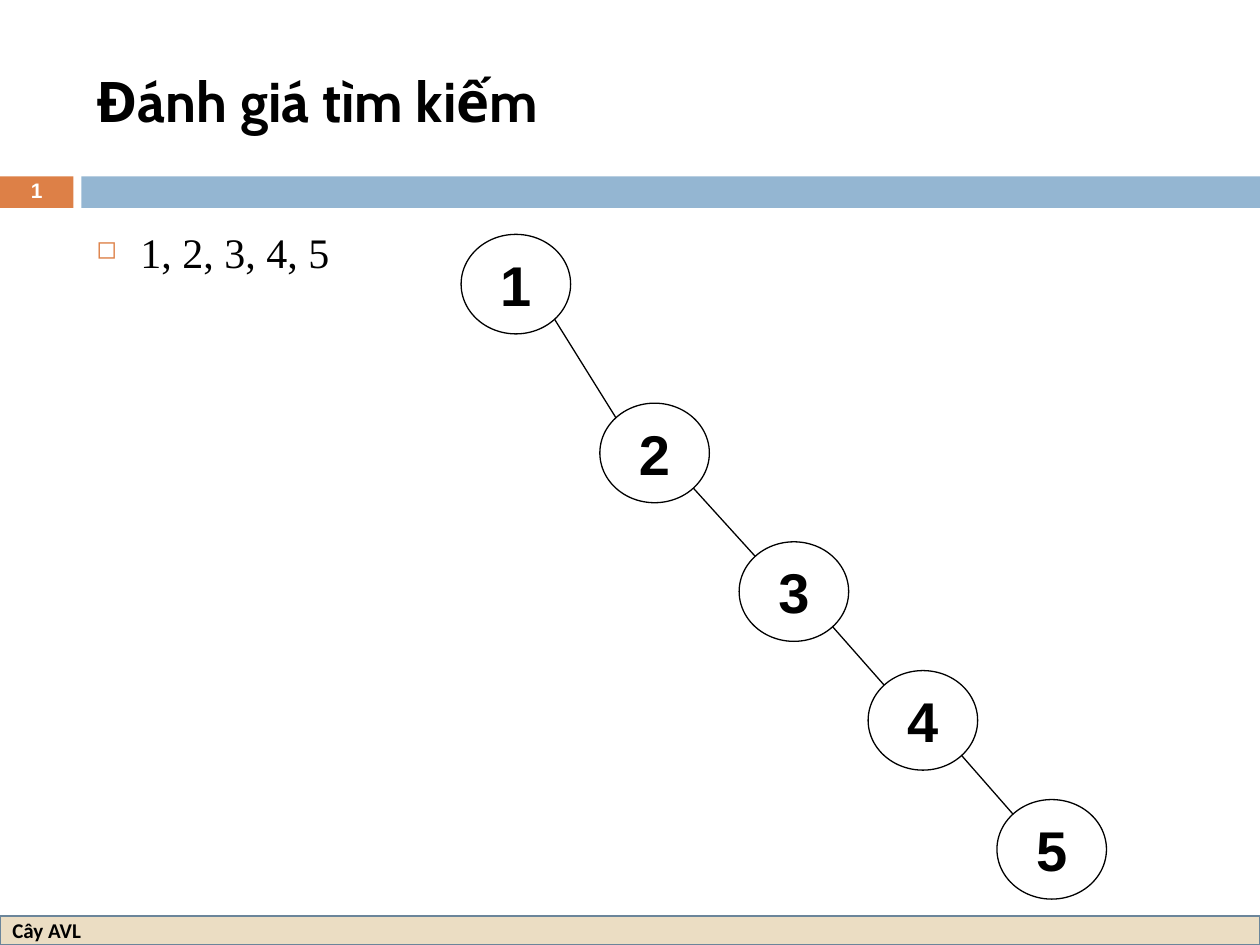
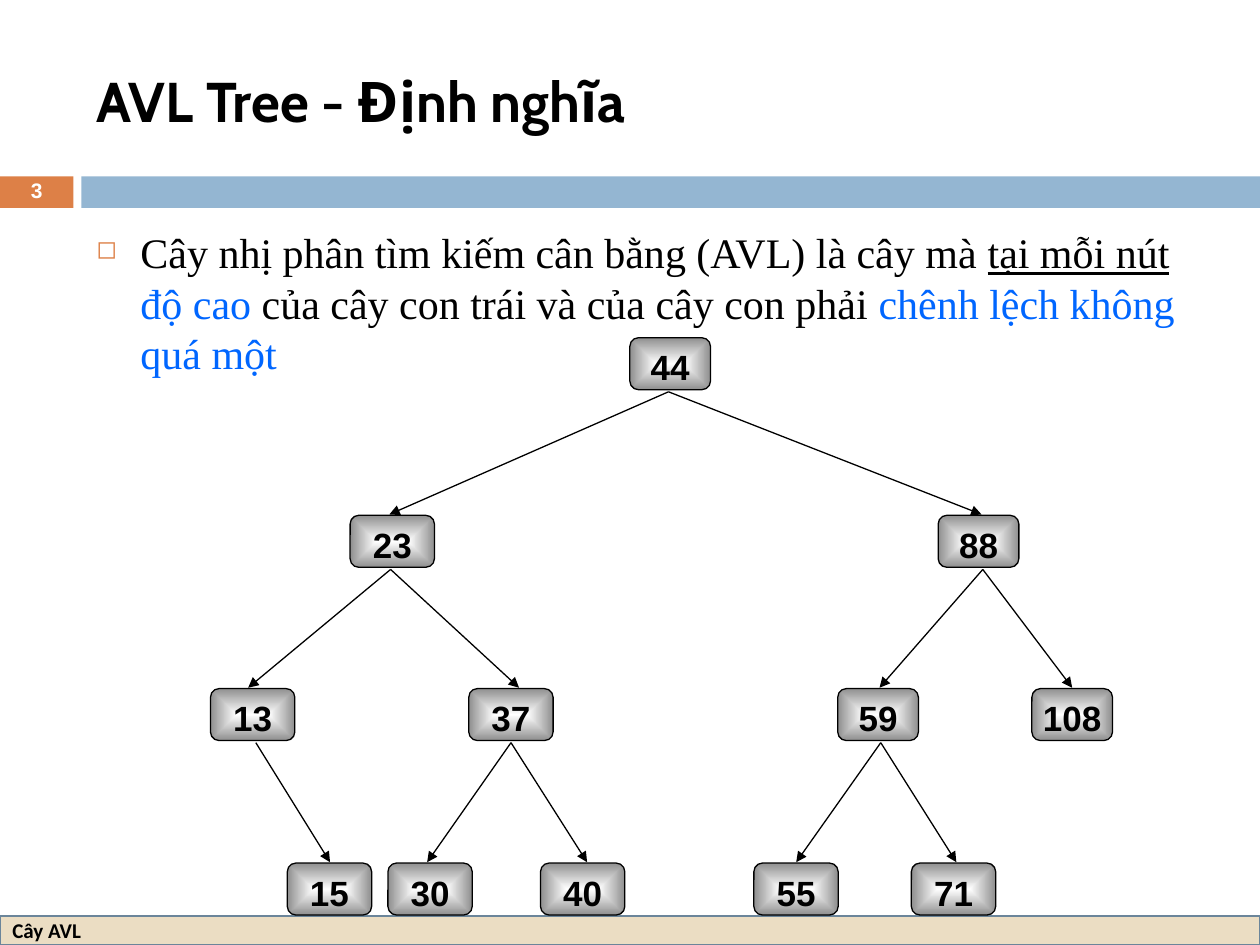
from itertools import pairwise

from pptx import Presentation
from pptx.dml.color import RGBColor
from pptx.enum.shapes import MSO_CONNECTOR, MSO_SHAPE as SHAPE
from pptx.enum.text import MSO_ANCHOR as ANCHOR, PP_ALIGN as ALIGN
from pptx.oxml.xmlchemy import OxmlElement
from pptx.util import Pt

# Shared colours and sizes
BLACK, WHITE, BLUE_TEXT = "000000", "FFFFFF", "0066FF"
ORANGE, BLUE, SAND, SLATE = "DD8047", "94B6D2", "EBDDC3", "6B859A"
GREY = "8F8F8F"
W, H = 720, 540

# Slide 1: left and top of each circle
CIRCLE_W, CIRCLE_H = 62.6, 56.9
CIRCLES = [(263.5, 133.9), (342.8, 230.4), (422.4, 309.6),
           (496.1, 383.2), (569.7, 456.9)]

# Slide 2: level tops, and value: (level, centre, width, arrow-in x, arrow-out x)
LEVELS = [193, 294.5, 393.5, 493.2]
BOX_H, ARROW_GAP = 29.7, 1.2
NARROW, WIDE = 46.1, 48.2
NODES = {
    "44": (0, 383, NARROW, None, 382),
    "23": (1, 224.2, WIDE, 222.5, 223.2),
    "88": (1, 559.2, NARROW, 560.9, 561.6),
    "13": (2, 144.4, WIDE, 141.8, 146.2),
    "37": (2, 292, WIDE, 296.6, 292),
    "59": (2, 501.8, NARROW, 502.6, 503.3),
    "108": (2, 612.7, NARROW, 612.7, None),
    "15": (3, 188.3, WIDE, 188.6, None),
    "30": (3, 245.8, WIDE, 244.1, None),
    "40": (3, 333, WIDE, 335.5, None),
    "55": (3, 454.9, WIDE, 455, None),
    "71": (3, 544.9, WIDE, 546.5, None),
}
CHILDREN = {"44": ["23", "88"], "23": ["13", "37"], "88": ["59", "108"],
            "13": ["15"], "37": ["30", "40"], "59": ["55", "71"]}


def color(hex_text):
    return RGBColor.from_string(hex_text)


def style(font, size, name, hex_text=BLACK, bold=True):
    font.size, font.name, font.bold = Pt(size), name, bold
    font.color.rgb = color(hex_text)


def add_child(parent, tag, **attrs):
    el = OxmlElement(tag)
    for key, value in attrs.items():
        el.set(key, value)
    parent.append(el)
    return el


# Basic elements
def add_shape(s, kind, box, fill=None, line=None, line_width=0.75):
    sp = s.shapes.add_shape(kind, *map(Pt, box))
    sp.shadow.inherit = False
    if fill:
        sp.fill.solid()
        sp.fill.fore_color.rgb = color(fill)
    else:
        sp.fill.background()
    if line:
        sp.line.color.rgb = color(line)
        sp.line.width = Pt(line_width)
    else:
        sp.line.fill.background()
    return sp


def add_text(s, box):
    sp = s.shapes.add_textbox(*map(Pt, box))
    sp.text_frame.word_wrap = True
    return sp


def put_text(sp, text, size, name, hex_text=BLACK, align=ALIGN.LEFT,
             anchor=ANCHOR.MIDDLE, spacing=None):
    tf = sp.text_frame
    tf.text = text
    tf.vertical_anchor = anchor
    p = tf.paragraphs[0]
    p.alignment = align
    if spacing:
        p.line_spacing = spacing
    style(p.runs[0].font, size, name, hex_text)


def add_line(s, start, end, arrow=False):
    cx = s.shapes.add_connector(MSO_CONNECTOR.STRAIGHT,
                                *map(Pt, (*start, *end)))
    cx.line.color.rgb = color(BLACK)
    cx.line.width = Pt(0.75)
    if arrow:
        add_child(cx.line._get_or_add_ln(), "a:tailEnd", type="triangle")
    add_child(cx._element.spPr, "a:effectLst")


def add_bullet(s, parts):
    """Bulleted text from (text, colour, underline) parts."""
    tf = add_text(s, (48, 126, 642, 354)).text_frame
    p = tf.paragraphs[0]
    pPr = p._p.get_or_add_pPr()
    pPr.set("marL", str(Pt(25.2)))
    pPr.set("indent", str(-Pt(25.2)))
    add_child(add_child(pPr, "a:buClr"), "a:srgbClr", val=ORANGE)
    add_child(pPr, "a:buSzPct", val="60000")
    add_child(pPr, "a:buChar", char="◻")
    for text, hex_text, underline in parts:
        r = p.add_run()
        r.text = text
        style(r.font, 24, "Times New Roman", hex_text, bold=False)
        r.font.underline = underline


# Slide frame: bands, footer, title and number
def add_slide(prs, title, number):
    s = prs.slides.add_slide(prs.slide_layouts[6])
    add_shape(s, SHAPE.RECTANGLE, (0, 100.8, 42, 18), ORANGE)
    add_shape(s, SHAPE.RECTANGLE, (46.5, 100.8, W - 46.5, 18), BLUE)
    footer = add_shape(s, SHAPE.RECTANGLE, (0, 523.5, W, H - 523.5),
                       SAND, SLATE, 1.5)
    put_text(footer, "Cây AVL", 12, "Calibri")
    put_text(add_text(s, (48, 18, 642, 78)), title, 32, "Cabin")
    put_text(add_text(s, (0, 100, 42, 19.5)), number, 12, "Arial", WHITE,
             ALIGN.CENTER, spacing=0.8)
    return s


# Tree nodes
def add_circle(s, text, left, top):
    sp = add_shape(s, SHAPE.OVAL, (left, top, CIRCLE_W, CIRCLE_H), line=BLACK)
    put_text(sp, text, 32, "Arial", align=ALIGN.CENTER)
    sp.text_frame.word_wrap = False


def shade_from_centre(sp):
    sp.fill.gradient()
    for stop, hex_text in zip(sp.fill.gradient_stops, (WHITE, GREY)):
        stop.color.rgb = color(hex_text)
    for stop, position in zip(sp.fill.gradient_stops, (0, 1)):
        stop.position = position
    grad = sp._element.spPr.find(".//{*}gradFill")
    grad.remove(grad.find("{*}lin"))
    rect = add_child(grad, "a:path", path="rect")
    add_child(rect, "a:fillToRect", **dict.fromkeys("ltrb", "50000"))


def add_node(s, text, level, centre, width):
    box = (centre - width / 2, LEVELS[level], width, BOX_H)
    sp = add_shape(s, SHAPE.ROUNDED_RECTANGLE, box, line=BLACK)
    shade_from_centre(sp)
    tf = sp.text_frame
    tf.margin_left = tf.margin_top = tf.margin_right = tf.margin_bottom = 0
    put_text(sp, text, 20, "Arial", align=ALIGN.CENTER, anchor=ANCHOR.TOP,
             spacing=1.13)


def add_chain(s):
    for i, (left, top) in enumerate(CIRCLES, 1):
        add_circle(s, str(i), left, top)
    # Lines meet the circles on their diagonals
    near, far = 0.5 - 0.125 ** 0.5, 0.5 + 0.125 ** 0.5
    for (x1, y1), (x2, y2) in pairwise(CIRCLES):
        add_line(s, (x1 + far * CIRCLE_W, y1 + far * CIRCLE_H),
                 (x2 + near * CIRCLE_W, y2 + near * CIRCLE_H))


def add_avl_tree(s):
    for value, (level, centre, width, _, _) in NODES.items():
        add_node(s, value, level, centre, width)
    for parent, children in CHILDREN.items():
        level, out_x = NODES[parent][0], NODES[parent][4]
        start = (out_x, LEVELS[level] + BOX_H + ARROW_GAP)
        for child in children:
            add_line(s, start, (NODES[child][3], LEVELS[level + 1] - 0.5),
                     arrow=True)


def main():
    prs = Presentation()
    prs.slide_width, prs.slide_height = Pt(W), Pt(H)

    # Search cost
    s = add_slide(prs, "Đánh giá tìm kiếm", "1")
    add_bullet(s, [("1, 2, 3, 4, 5", BLACK, False)])
    add_chain(s)

    # AVL definition
    s = add_slide(prs, "AVL Tree - Định nghĩa", "3")
    add_bullet(s, [
        ("Cây nhị phân tìm kiếm cân bằng (AVL) là cây mà ", BLACK, False),
        ("tại mỗi nút", BLACK, True),
        (" ", BLACK, False),
        ("độ cao ", BLUE_TEXT, False),
        ("của cây con trái và của cây con phải ", BLACK, False),
        ("chênh lệch không quá một", BLUE_TEXT, False),
    ])
    add_avl_tree(s)

    prs.save("out.pptx")


if __name__ == "__main__":
    main()
